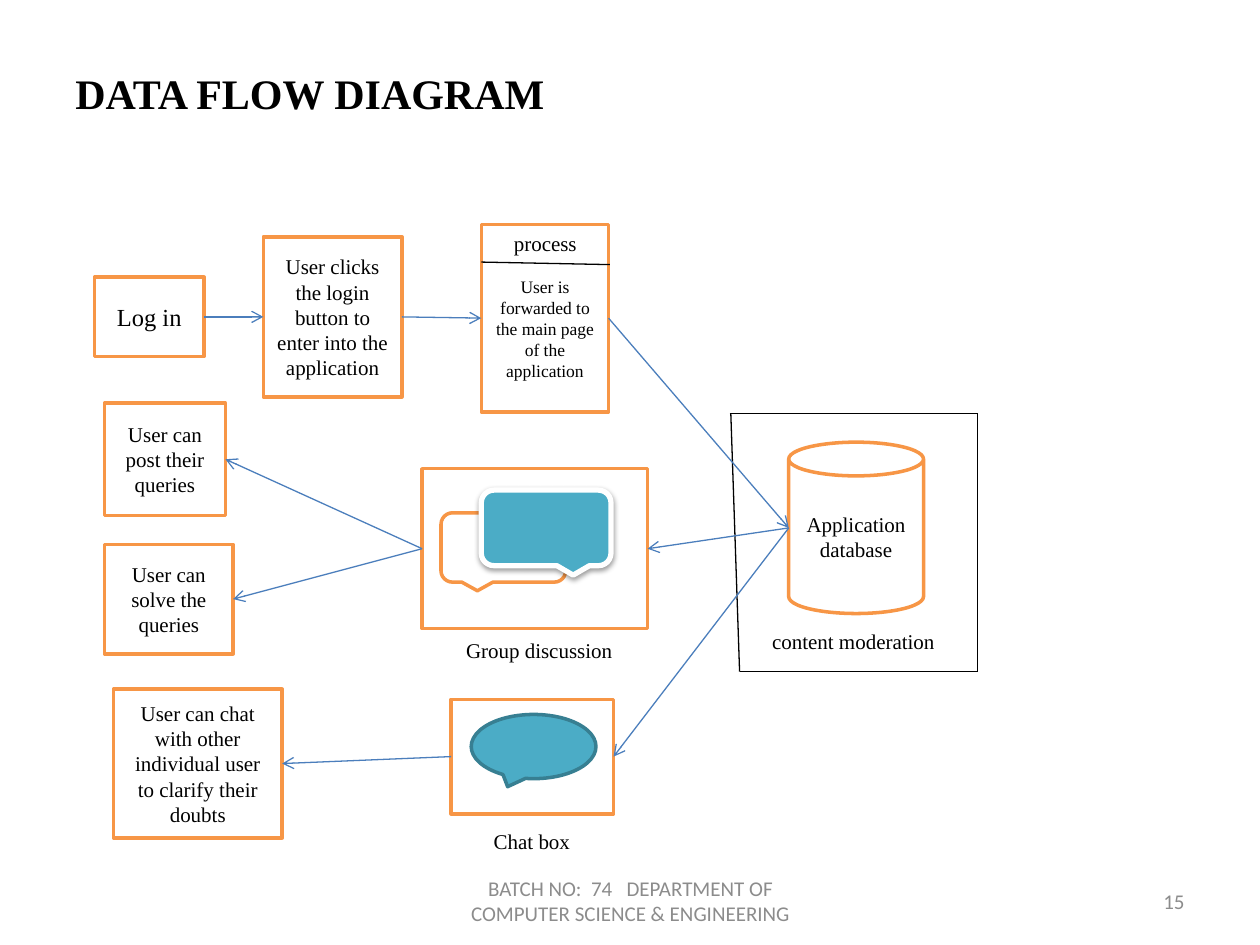
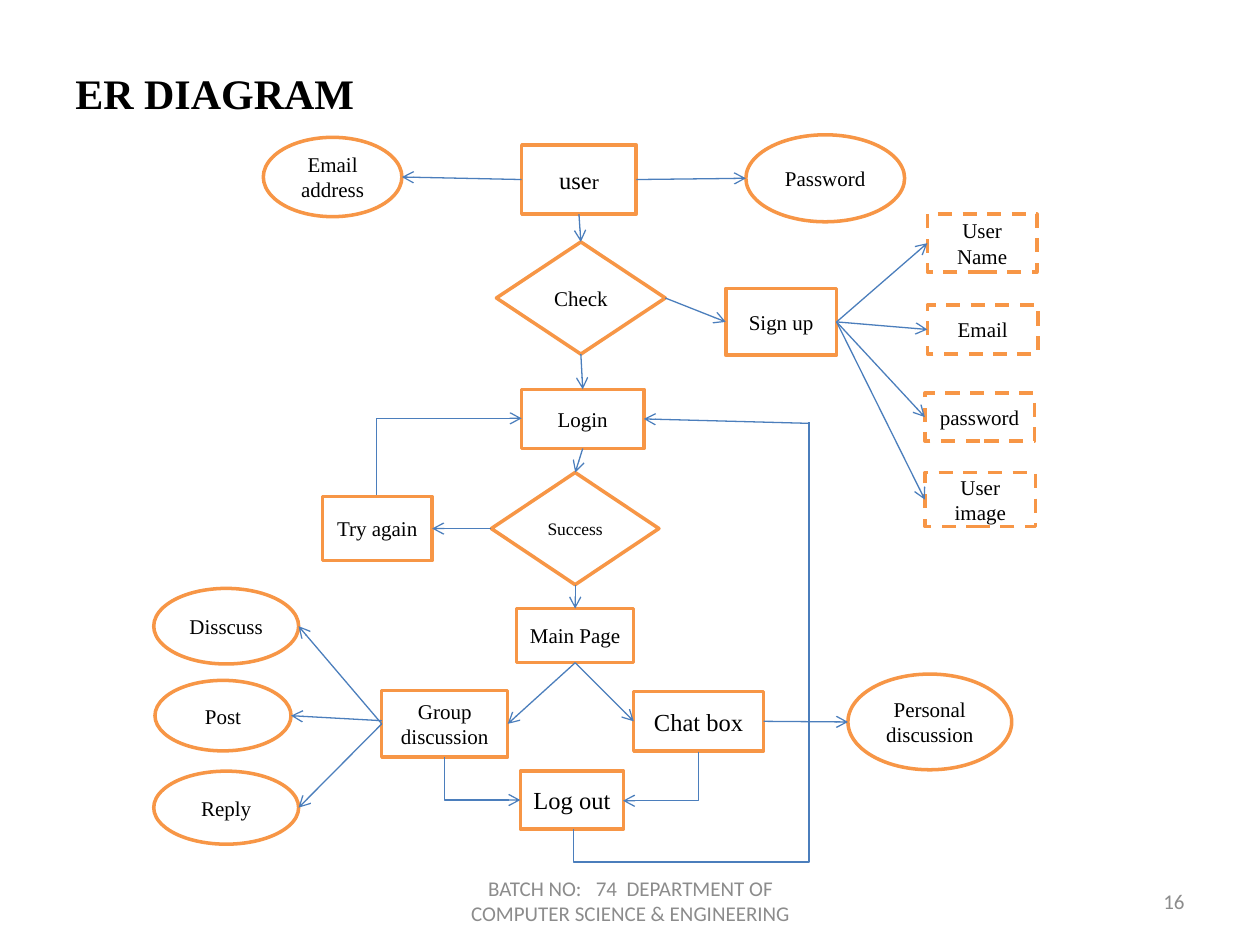
"""Build the data flow diagram and ER diagram slides on a grid of 100 columns by 75 rows."""
from lxml import etree
from pptx import Presentation, util as u
from pptx.dml.color import RGBColor
from pptx.enum import dml, shapes as s, text as t
from pptx.oxml import ns

COLORS = {"paper": "FFFFFF", "ink": "000000", "edge": "F79646", "link": "4B7EBC",
          "bubble": "4BACC6", "bubble edge": "377F92", "footer": "8C8C8C"}
SERIF, SANS = "Times New Roman", "Calibri"
RECT, OVAL = s.MSO_SHAPE.RECTANGLE, s.MSO_SHAPE.OVAL
DIAMOND, CAN = s.MSO_SHAPE.FLOWCHART_DECISION, s.MSO_SHAPE.CAN
ROUND_CALLOUT = s.MSO_SHAPE.ROUNDED_RECTANGULAR_CALLOUT
OVAL_CALLOUT = s.MSO_SHAPE.OVAL_CALLOUT
LEFT, CENTER, RIGHT = t.PP_ALIGN.LEFT, t.PP_ALIGN.CENTER, t.PP_ALIGN.RIGHT
TOP_SIDE, LEFT_SIDE, BOTTOM_SIDE, RIGHT_SIDE = range(4)
SIDES = [(0.5, 0), (0, 0.5), (0.5, 1), (1, 0.5)]

deck = Presentation()
deck.slide_width, deck.slide_height = u.Inches(10), u.Inches(7.5)
CELL = deck.slide_width / 100


def place(slide, kind, box, words="", size=12, align=CENTER, font=SERIF, color="ink",
          fill="paper", edge="edge", width=2):
    """Add a preset shape, or a text box when kind is None, at a box given in cells."""
    area = [round(side * CELL) for side in box]
    if kind is None:
        part = slide.shapes.add_textbox(*area)
    else:
        part = slide.shapes.add_shape(kind, *area)
        part.shadow.inherit = False
        part.fill.solid()
        part.fill.fore_color.rgb = RGBColor.from_string(COLORS[fill])
        part.line.color.rgb = RGBColor.from_string(COLORS[edge])
        part.line.width = u.Pt(width)
        part.text_frame.vertical_anchor = t.MSO_ANCHOR.MIDDLE
    part.text_frame.word_wrap = True
    if words:
        line = part.text_frame.paragraphs[0]
        line.text, line.alignment = words, align
        line.font.name, line.font.size = font, u.Pt(size)
        line.font.color.rgb = RGBColor.from_string(COLORS[color])
    return part


def link(slide, start, end, color="link", arrow=True, kind=s.MSO_CONNECTOR.STRAIGHT):
    """Join two ends, each a point in cells or a (shape, side) pair."""
    spots = []
    for first, second in (start, end):
        if hasattr(first, "left"):
            across, down = SIDES[second]
            spots += [round(first.left + across * first.width),
                      round(first.top + down * first.height)]
        else:
            spots += [round(first * CELL), round(second * CELL)]
    line = slide.shapes.add_connector(kind, *spots)
    for (part, side), join in ((start, line.begin_connect), (end, line.end_connect)):
        if hasattr(part, "left") and part.auto_shape_type == RECT:
            join(part, side)
    line.line.color.rgb = RGBColor.from_string(COLORS[color])
    line.line.width = u.Pt(0.75)
    if arrow:
        etree.SubElement(line.line._get_or_add_ln(), ns.qn("a:tailEnd"), type="arrow")
    etree.SubElement(line._element.spPr, ns.qn("a:effectLst"))
    return line


pages = []
for heading, footer, number in [
        ("DATA FLOW DIAGRAM", "BATCH NO:  74   DEPARTMENT OF COMPUTER SCIENCE & ENGINEERING", "15"),
        ("ER DIAGRAM", "BATCH NO:   74  DEPARTMENT OF COMPUTER SCIENCE & ENGINEERING", "16")]:
    page = deck.slides.add_slide(deck.slide_layouts[6])
    title = place(page, None, (5, 3, 90, 12.5), heading, 24, LEFT)
    title.text_frame.paragraphs[0].font.bold = True
    title.text_frame.margin_bottom = u.Inches(0.43)
    batch = place(page, None, (34.2, 69.5, 31.7, 4), footer, 12, CENTER, SANS, "footer")
    page_number = place(page, None, (71.7, 69.5, 23.3, 4), number, 12, RIGHT, SANS, "footer")
    for band in (title, batch, page_number):
        band.text_frame.vertical_anchor = t.MSO_ANCHOR.MIDDLE
    pages.append(page)
flow, er = pages

login = place(flow, RECT, (7.5, 22, 8.7, 6.3), "Log in", 14)
click = place(flow, RECT, (20.9, 18.8, 11, 12.7),
              "User clicks the login button to enter into the application")
process = place(flow, RECT, (38.2, 17.8, 10.1, 14.9),
                "User is forwarded to the main page of the application", 10)
process.text_frame.margin_top = u.Inches(0.21)
database = place(flow, CAN, (62.6, 35.1, 10.7, 13.6), "Application database")
group = place(flow, RECT, (33.5, 37.2, 17.9, 12.7))
post = place(flow, RECT, (8.3, 32, 9.6, 8.9), "User can post their queries")
solve = place(flow, RECT, (8.3, 43.2, 10.2, 8.7), "User can solve the queries")
chat = place(flow, RECT, (35.8, 55.5, 12.9, 9.1))
clarify = place(flow, RECT, (9, 54.7, 13.4, 11.8),
                "User can chat with other individual user to clarify their doubts")

place(flow, ROUND_CALLOUT, (35, 40.7, 9.9, 5.5))
reply_bubble = place(flow, ROUND_CALLOUT, (38.2, 38.9, 10.3, 6),
                     fill="bubble", edge="paper", width=3)
reply_bubble._element.spPr.xfrm.set("flipH", "1")
effects = reply_bubble._element.spPr.find(ns.qn("a:effectLst"))
shade = etree.SubElement(effects, ns.qn("a:outerShdw"), blurRad=str(u.Pt(3.1)),
                         dist=str(u.Pt(1.6)), dir="5400000", rotWithShape="0")
tint = etree.SubElement(shade, ns.qn("a:srgbClr"), val=COLORS["ink"])
etree.SubElement(tint, ns.qn("a:alpha"), val="38000")
place(flow, OVAL_CALLOUT, (37.4, 56.7, 9.9, 5.1), fill="bubble", edge="bubble edge")

for words, box in [("content moderation", (60.3, 49.4, 15.7, 3)),
                   ("Group discussion", (36, 50.1, 17.2, 3)),
                   ("process", (39.8, 17.8, 9.7, 3)),
                   ("Chat box", (38.2, 65.3, 12.3, 3))]:
    place(flow, None, box, words, align=LEFT)

for start, end in [((57.9, 32.8), (77.6, 32.8)), ((77.6, 53.3), (77.6, 32.8)),
                   ((58, 32.8), (58.7, 53.3)), ((58.7, 53.3), (77.6, 53.3)),
                   ((38.2, 20.8), (48.4, 21))]:
    link(flow, start, end, "ink", arrow=False)

for source, target in [(login, click), (click, process), (process, database)]:
    link(flow, (source, RIGHT_SIDE), (target, LEFT_SIDE))
for source, target in [(database, group), (database, chat), (group, post),
                       (group, solve), (chat, clarify)]:
    link(flow, (source, LEFT_SIDE), (target, RIGHT_SIDE))

er_parts = {}
for name, kind, box, words, size in [
        ("user", RECT, (41.4, 11.5, 9.1, 5.5), "use", 14),
        ("address", OVAL, (20.9, 10.9, 11, 6.3), "Email address", 12),
        ("secret", OVAL, (59.2, 10.7, 12.6, 6.9), "Password", 12),
        ("check", DIAMOND, (39.4, 19.2, 13.4, 8.9), "Check", 12),
        ("sign up", RECT, (57.6, 22.9, 8.8, 5.3), "Sign up", 12),
        ("field name", RECT, (73.6, 17, 8.7, 4.6), "User Name", 12),
        ("field email", RECT, (73.6, 24.2, 8.8, 3.9), "Email", 12),
        ("field password", RECT, (73.4, 31.2, 8.7, 3.8), "password", 12),
        ("field image", RECT, (73.4, 37.5, 8.8, 4.3), "User image", 12),
        ("login", RECT, (41.4, 30.9, 9.7, 4.7), "Login", 12),
        ("success", DIAMOND, (39, 37.5, 13.3, 8.9), "Success", 10),
        ("retry", RECT, (25.6, 39.4, 8.7, 5.1), "Try again", 12),
        ("main", RECT, (41, 48.3, 9.3, 4.3), "Main Page", 12),
        ("group", RECT, (30.3, 54.8, 10, 5.3), "Group discussion", 12),
        ("chat", RECT, (50.3, 54.9, 10.3, 4.7), "Chat box", 14),
        ("discuss", OVAL, (12.2, 46.7, 11.5, 6), "Disscuss", 12),
        ("post", OVAL, (12.3, 54, 10.8, 5.6), "Post", 12),
        ("reply", OVAL, (12.2, 61.2, 11.5, 5.8), "Reply", 12),
        ("personal", OVAL, (67.3, 53.5, 13, 7.6), "Personal discussion", 12),
        ("logout", RECT, (41.3, 61.2, 8.2, 4.6), "Log out", 14)]:
    er_parts[name] = place(er, kind, box, words, size)
    if name.startswith("field"):
        er_parts[name].line.dash_style = dml.MSO_LINE.DASH
last_letter = er_parts["user"].text_frame.paragraphs[0].add_run()
last_letter.text, last_letter.font.size = "r", u.Pt(12)

for source, leaving, target, entering in [
        ("user", RIGHT_SIDE, "secret", LEFT_SIDE),
        ("user", LEFT_SIDE, "address", RIGHT_SIDE),
        ("user", BOTTOM_SIDE, "check", TOP_SIDE),
        ("check", RIGHT_SIDE, "sign up", LEFT_SIDE),
        ("check", BOTTOM_SIDE, "login", TOP_SIDE),
        ("sign up", RIGHT_SIDE, "field name", LEFT_SIDE),
        ("sign up", RIGHT_SIDE, "field email", LEFT_SIDE),
        ("sign up", RIGHT_SIDE, "field password", LEFT_SIDE),
        ("sign up", RIGHT_SIDE, "field image", LEFT_SIDE),
        ("login", BOTTOM_SIDE, "success", TOP_SIDE),
        ("success", LEFT_SIDE, "retry", RIGHT_SIDE),
        ("success", BOTTOM_SIDE, "main", TOP_SIDE),
        ("main", BOTTOM_SIDE, "group", RIGHT_SIDE),
        ("main", BOTTOM_SIDE, "chat", LEFT_SIDE),
        ("group", LEFT_SIDE, "discuss", RIGHT_SIDE),
        ("group", LEFT_SIDE, "reply", RIGHT_SIDE),
        ("chat", RIGHT_SIDE, "personal", LEFT_SIDE)]:
    link(er, (er_parts[source], leaving), (er_parts[target], entering))
link(er, (30.3, 57.2), (er_parts["post"], RIGHT_SIDE))

return_corner = (64.2, 33.6)
link(er, return_corner, (er_parts["login"], RIGHT_SIDE))
logout = er_parts["logout"]
for start, end, box, turn, flips, preset in [
        ((er_parts["retry"], TOP_SIDE), (er_parts["login"], LEFT_SIDE),
         (32.6, 30.5, 6.1, 11.5), 270, "", "bentConnector2"),
        ((er_parts["chat"], BOTTOM_SIDE), (logout, RIGHT_SIDE),
         (50.5, 58.6, 3.9, 6), 90, "", "bentConnector2"),
        ((er_parts["group"], BOTTOM_SIDE), (logout, LEFT_SIDE),
         (36.6, 58.8, 3.4, 6), 90, "V", "bentConnector2"),
        ((logout, BOTTOM_SIDE), return_corner,
         (38.7, 40.3, 32.3, 18.7), 90, "HV", "bentConnector3")]:
    bend = link(er, start, end, arrow=preset == "bentConnector2", kind=s.MSO_CONNECTOR.ELBOW)
    bend.left, bend.top, bend.width, bend.height = [round(side * CELL) for side in box]
    frame = bend._element.spPr.xfrm
    frame.set("rot", str(turn * 60000))
    for axis in "HV":
        frame.set("flip" + axis, str(int(axis in flips)))
    outline = bend._element.spPr.find(ns.qn("a:prstGeom"))
    outline.set("prst", preset)
    if preset == "bentConnector3":
        guides = outline.find(ns.qn("a:avLst"))
        etree.SubElement(guides, ns.qn("a:gd"), name="adj1", fmla="val -8100")

deck.save("out.pptx")
